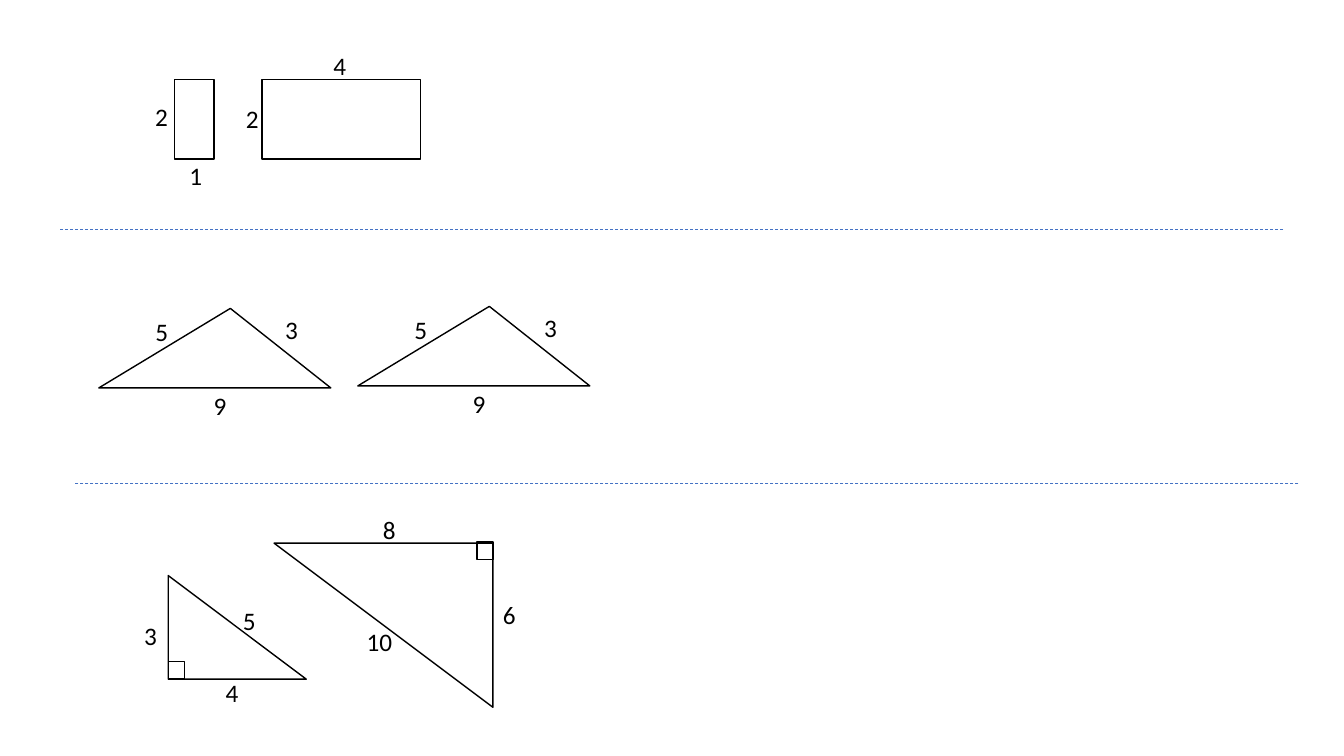
from pptx import Presentation
from pptx.dml.color import RGBColor
from pptx.enum.dml import MSO_LINE_DASH_STYLE as DASH
from pptx.enum.shapes import MSO_CONNECTOR, MSO_SHAPE as SHAPE
from pptx.enum.text import MSO_AUTO_SIZE as AUTO_SIZE
from pptx.oxml.xmlchemy import OxmlElement
from pptx.util import Pt

COLORS = {"ink": "000000", "paper": "FFFFFF", "divider": "4472C4"}
LABEL_HEIGHT = 29.08
DIGIT_WIDTH = 24.3
TRIANGLE_STEP = (185, -1.44)


def color(name):
    """Return the named colour."""
    return RGBColor.from_string(COLORS[name])


def add_figure(group, kind, left, top, width, height, fill=None, rotation=0):
    """Add an outlined figure and return it."""
    figure = group.shapes.add_shape(kind, Pt(left), Pt(top), Pt(width), Pt(height))
    figure.shadow.inherit = False
    figure.rotation = rotation
    if fill:
        figure.fill.solid()
        figure.fill.fore_color.rgb = color(fill)
    else:
        figure.fill.background()
    figure.line.color.rgb = color("ink")
    figure.line.width = Pt(1)
    return figure


def add_label(group, text, left, top, width=DIGIT_WIDTH):
    """Add the length of a side; boxes narrower than a digit's box wrap."""
    box = group.shapes.add_textbox(Pt(left), Pt(top), Pt(width), Pt(LABEL_HEIGHT))
    frame = box.text_frame
    frame.word_wrap = width < DIGIT_WIDTH
    frame.auto_size = AUTO_SIZE.SHAPE_TO_FIT_TEXT
    frame.text = text
    font = frame.paragraphs[0].runs[0].font
    font.name = "Calibri"
    font.size = Pt(18)
    font.color.rgb = color("ink")


def add_divider(page, left, right, y):
    """Add a dashed horizontal line between two exercises."""
    line = page.shapes.add_connector(
        MSO_CONNECTOR.STRAIGHT, Pt(right), Pt(y), Pt(left), Pt(y))
    line.line.color.rgb = color("divider")
    line.line.width = Pt(0.5)
    line.line.dash_style = DASH.DASH
    line._element.spPr.append(OxmlElement("a:effectLst"))


def add_rectangles(page):
    """Add the two rectangles of equal height."""
    group = page.shapes.add_group_shape()
    add_figure(group, SHAPE.RECTANGLE, 124.5, 56.7, 28.4, 56.8)
    add_label(group, "1", 128.2, 110.9, 18.7)
    add_label(group, "2", 103.7, 69.1)
    add_figure(group, SHAPE.RECTANGLE, 187.2, 56.7, 113.2, 56.8)
    add_label(group, "2", 168.5, 70.6, 16.6)
    add_label(group, "4", 231.1, 32.4)


def add_triangle(page, left, top):
    """Add a scalene triangle with its three side lengths."""
    group = page.shapes.add_group_shape()
    triangle = add_figure(group, SHAPE.ISOSCELES_TRIANGLE, left, top, 165.7, 56.8)
    triangle.adjustments[0] = 0.567
    add_label(group, "3", left + 126, top + 0.7, 15.1)
    add_label(group, "5", left + 36.7, top + 2.2, 10.8)
    add_label(group, "9", left + 74.9, top + 54.7, 15.1)


def add_right_triangles(page):
    """Add the two right triangles, the larger one turned upside down."""
    group = page.shapes.add_group_shape()
    add_figure(group, SHAPE.RIGHT_TRIANGLE, 120.2, 411.1, 98.6, 74, "paper")
    add_figure(group, SHAPE.RIGHT_TRIANGLE, 195.8, 388, 156.3, 117.2, "paper", 180)
    for text, left, top in (
        ("3", 95.8, 439.2), ("4", 154.1, 480.2), ("5", 166.3, 429.1),
        ("6", 352.1, 424.8), ("8", 266.4, 363.6),
    ):
        add_label(group, text, left, top)
    add_label(group, "10", 254.9, 443.5, 33.8)
    for left, top in ((120.2, 472.5), (340.6, 387.2)):
        add_figure(group, SHAPE.RECTANGLE, left, top, 11.5, 12.4)


def main():
    """Build the slide and save it."""
    deck = Presentation()
    deck.slide_width, deck.slide_height = Pt(960), Pt(540)
    page = deck.slides.add_slide(deck.slide_layouts[6])
    add_rectangles(page)
    add_right_triangles(page)
    for index in range(2):
        add_triangle(page, 70.6 + index * TRIANGLE_STEP[0], 220.3 + index * TRIANGLE_STEP[1])
    add_divider(page, 53.3, 927.4, 345.6)
    add_divider(page, 43.2, 916.6, 163.6)
    deck.save("out.pptx")


if __name__ == "__main__":
    main()
